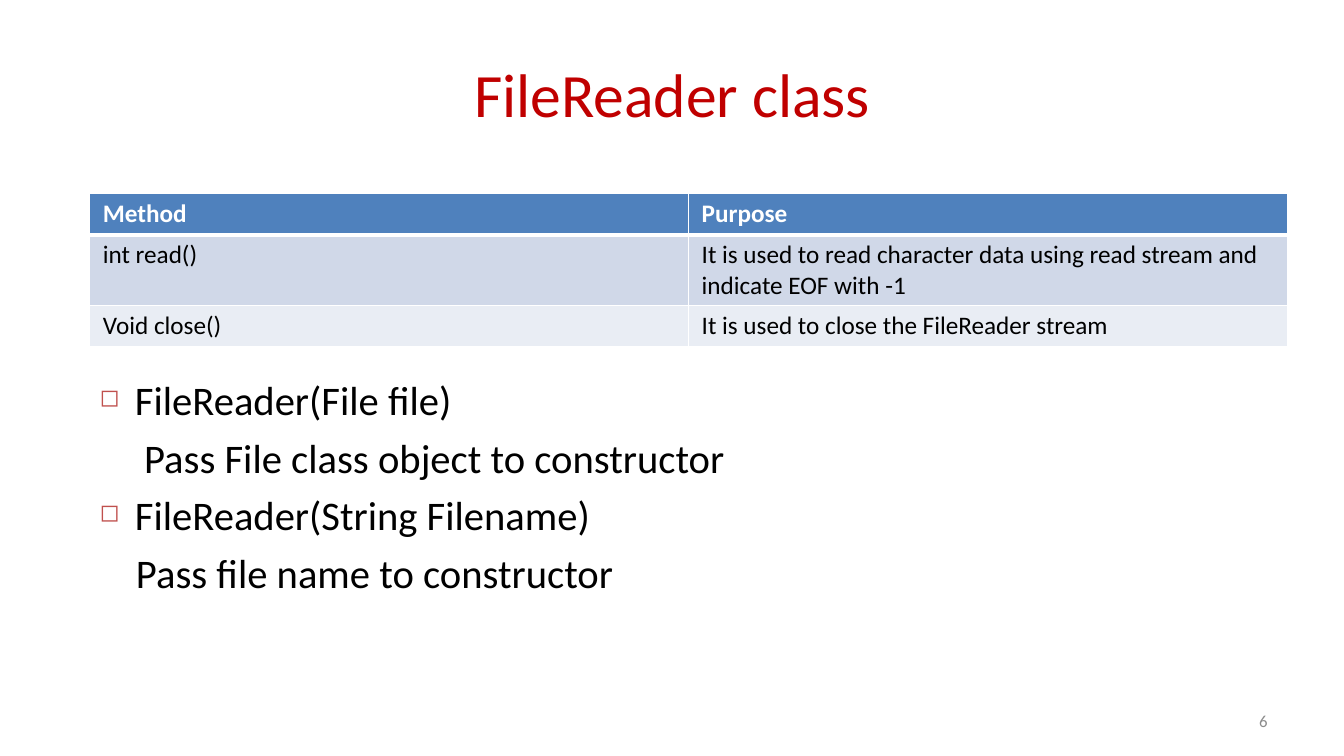
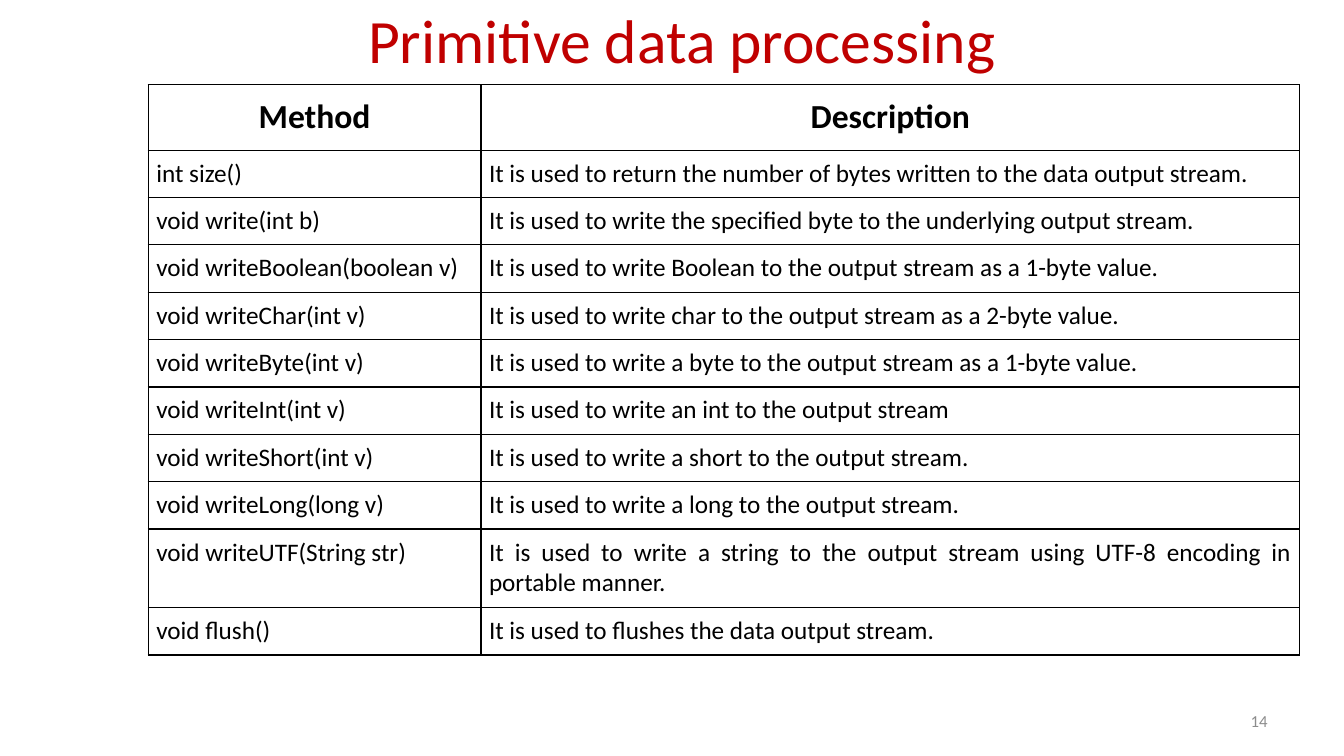
from lxml import etree
from pptx import Presentation
from pptx.dml.color import RGBColor
from pptx.enum.text import MSO_ANCHOR as Anchor, MSO_AUTO_SIZE as AutoSize, PP_ALIGN as Align
from pptx.oxml.ns import qn
from pptx.util import Inches, Pt

FONT = "Calibri"
COLORS = {
    "title": "C00000", "ink": "000000", "paper": "FFFFFF", "number": "8C8C8C",
    "header": "4F81BD", "band": "D0D8E8", "light_band": "E9EDF4", "bullet": "C0504D",
}
READER_METHODS = [
    ("Method", "Purpose"),
    ("int read()", "It is used to read character data using read stream and indicate EOF with -1"),
    ("Void close()", "It is used to close the FileReader stream"),
]
CONSTRUCTORS = [
    ("FileReader(File file)", True, 0.35),
    ("Pass File class object to constructor", False, 0.44),
    ("FileReader(String Filename)", True, 0.35),
    ("Pass file name to constructor", False, 0.36),
]
WRITER_METHODS = [
    ("Method", "Description"),
    ("int size()", "It is used to return the number of bytes written to the data output stream."),
    ("void write(int b)", "It is used to write the specified byte to the underlying output stream."),
    ("void writeBoolean(boolean v)", "It is used to write Boolean to the output stream as a 1-byte value."),
    ("void writeChar(int v)", "It is used to write char to the output stream as a 2-byte value."),
    ("void writeByte(int v)", "It is used to write a byte to the output stream as a 1-byte value."),
    ("void writeInt(int v)", "It is used to write an int to the output stream"),
    ("void writeShort(int v)", "It is used to write a short to the output stream."),
    ("void writeLong(long v)", "It is used to write a long to the output stream."),
    ("void writeUTF(String str)",
     "It is used to write a string to the output stream using UTF-8 encoding in portable manner."),
    ("void flush()", "It is used to flushes the data output stream."),
]


def rgb(name):
    """Return the named palette colour."""
    return RGBColor.from_string(COLORS[name])


def write(paragraph, text, size=18, color="ink", bold=False, align=Align.LEFT, before=0):
    """Put formatted text into a paragraph."""
    paragraph.alignment = align
    paragraph.space_before = Pt(before)
    font_run = paragraph.add_run()
    font_run.text = text
    font = font_run.font
    font.name, font.size, font.bold = FONT, Pt(size), bold
    font.color.rgb = rgb(color)


def indent(paragraph, left, bulleted):
    """Indent a paragraph and hang a square bullet from it if asked."""
    properties = paragraph._p.get_or_add_pPr()
    properties.set("marL", str(Inches(left)))
    properties.set("indent", str(Inches(-left if bulleted else 0)))
    if not bulleted:
        etree.SubElement(properties, qn("a:buNone"))
        return
    bullet_color = etree.SubElement(properties, qn("a:buClr"))
    etree.SubElement(bullet_color, qn("a:srgbClr"), val=COLORS["bullet"])
    etree.SubElement(properties, qn("a:buSzPct"), val="60000")
    etree.SubElement(properties, qn("a:buChar"), char="◻")


def set_borders(cell, color, bottom=1):
    """Draw the four borders of a table cell."""
    properties = cell._tc.get_or_add_tcPr()
    for side, width in (("lnL", 1), ("lnR", 1), ("lnT", 1), ("lnB", bottom)):
        border = etree.SubElement(properties, qn(f"a:{side}"), w=str(Pt(width)))
        fill = etree.SubElement(border, qn("a:solidFill"))
        etree.SubElement(fill, qn("a:srgbClr"), val=COLORS[color])


def add_text_box(slide, box):
    """Add a wrapping text box and return its frame."""
    frame = slide.shapes.add_textbox(*map(Inches, box)).text_frame
    frame.word_wrap = True
    return frame


def add_titled_slide(deck, title, box, number):
    """Add a slide with its red title and page number."""
    slide = deck.slides.add_slide(deck.slide_layouts[5])
    heading = slide.shapes.title
    heading.left, heading.top, heading.width, heading.height = map(Inches, box)
    frame = heading.text_frame
    frame.auto_size, frame.vertical_anchor = AutoSize.NONE, Anchor.MIDDLE
    frame.margin_top = frame.margin_bottom = 0
    write(frame.paragraphs[0], title, size=44, color="title", align=Align.CENTER)
    footer = add_text_box(slide, (9.56, 6.95, 3.11, 0.4))
    footer.vertical_anchor = Anchor.MIDDLE
    write(footer.paragraphs[0], str(number), size=12, color="number", align=Align.RIGHT)
    return slide


def add_methods_table(slide, origin, rows, widths, heights, fills, border,
                      header_margins, body_margins, header_format, body_format, header_rule=1):
    """Add a table of methods with a header row and cyclic body fills."""
    box = (*origin, sum(widths), sum(heights))
    table = slide.shapes.add_table(len(rows), len(widths), *map(Inches, box)).table
    table.first_row = table.horz_banding = False
    for column, width in zip(table.columns, widths):
        column.width = Inches(width)
    for index, (texts, height) in enumerate(zip(rows, heights)):
        table.rows[index].height = Inches(height)
        is_header = index == 0
        fill = fills[0] if is_header else fills[1:][(index - 1) % (len(fills) - 1)]
        side, edge = header_margins if is_header else body_margins
        for cell, text in zip(table.rows[index].cells, texts):
            cell.margin_left = cell.margin_right = Inches(side)
            cell.margin_top = cell.margin_bottom = Inches(edge)
            set_borders(cell, border, header_rule if is_header else 1)
            cell.fill.solid()
            cell.fill.fore_color.rgb = rgb(fill)
            write(cell.text_frame.paragraphs[0], text, **(header_format if is_header else body_format))


def add_constructors(slide, box):
    """List the constructors with their explanations."""
    frame = add_text_box(slide, box)
    for index, (text, bulleted, left) in enumerate(CONSTRUCTORS):
        paragraph = frame.add_paragraph() if index else frame.paragraphs[0]
        write(paragraph, text, size=29, before=6.4 if index else 0)
        indent(paragraph, left, bulleted)


def build_reader_slide(deck):
    """Build the slide on the FileReader class."""
    slide = add_titled_slide(deck, "FileReader class", (0.67, 0.3, 12, 1.25), 6)
    add_methods_table(
        slide, (0.89, 1.92), READER_METHODS, [5.94] * 2, [0.41, 0.7, 0.41],
        ["header", "band", "light_band"], "paper", (0.13, 0.05), (0.13, 0.05),
        {"color": "paper", "bold": True}, {}, header_rule=3)
    add_constructors(slide, (0.89, 3.67, 11.89, 2.93))


def build_writer_slide(deck):
    """Build the slide on writing primitive data."""
    slide = add_titled_slide(deck, "Primitive data processing", (0.82, 0.02, 11.89, 0.74), 14)
    add_methods_table(
        slide, (1.47, 0.84), WRITER_METHODS, [3.3, 8.12], [0.65] + [0.47] * 8 + [0.78, 0.47],
        ["paper", "paper"], "ink", (0.12, 0.12), (0.08, 0.08),
        {"size": 24, "bold": True, "align": Align.CENTER}, {"align": Align.JUSTIFY})


def main():
    """Build and save the presentation."""
    deck = Presentation()
    deck.slide_width, deck.slide_height = Inches(13.33), Inches(7.5)
    build_reader_slide(deck)
    build_writer_slide(deck)
    deck.save("out.pptx")


if __name__ == "__main__":
    main()
